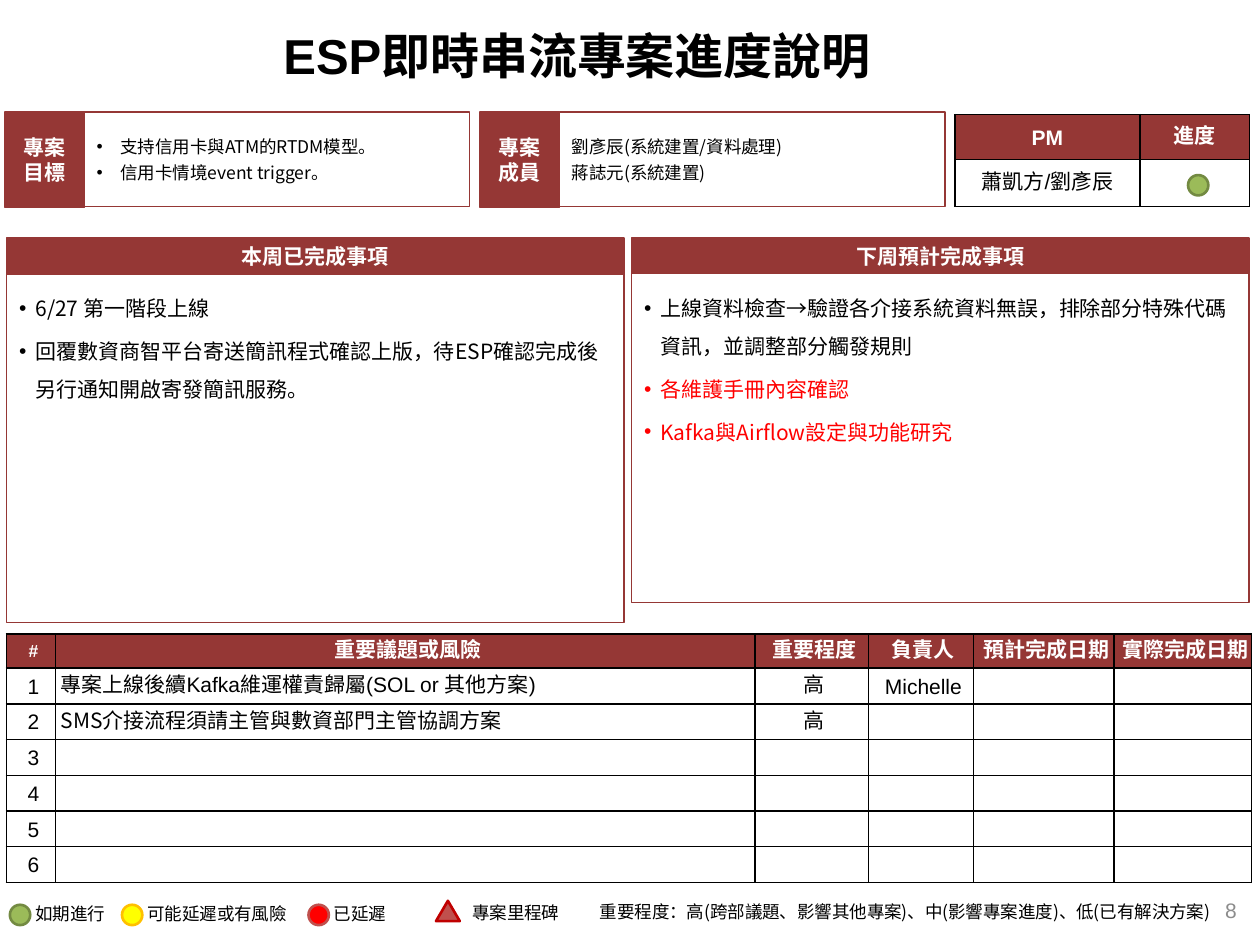
import dataclasses
from typing import Sequence

import pptx
import pptx.dml.color
import pptx.enum.shapes
import pptx.enum.text
import pptx.oxml.ns
import pptx.oxml.xmlchemy
import pptx.util
from lxml import etree

Cm, Pt = pptx.util.Cm, pptx.util.Pt
ALIGN, ANCHOR = pptx.enum.text.PP_ALIGN, pptx.enum.text.MSO_ANCHOR
SHAPE = pptx.enum.shapes.MSO_SHAPE
qn = pptx.oxml.ns.qn

MAROON, BLACK, WHITE, RED = "953735", "000000", "FFFFFF", "FF0000"
CJK = "Noto Sans CJK SC"


@dataclasses.dataclass(frozen=True)
class Style:
    size: float
    color: str = BLACK
    bold: bool = False
    latin: str = "Arial"
    align: ALIGN = ALIGN.LEFT
    bullet_indent: float = 0
    after: float = 0
    leading: float = 1.2


@dataclasses.dataclass(frozen=True)
class Summary:
    left: float
    label: tuple[str, str]
    lines: tuple[str, ...]
    style: Style


@dataclasses.dataclass(frozen=True)
class Panel:
    left: float
    header_height: float
    body_height: float
    header: str
    items: tuple[str, ...]
    highlighted: tuple[str, ...] = ()


@dataclasses.dataclass(frozen=True)
class Status:
    left: float
    text: str
    text_width: float
    fill: str
    line: str


HEADING = Style(12, WHITE, True, align=ALIGN.CENTER)
CELL = Style(12, align=ALIGN.CENTER)
NOTE = Style(10, latin=CJK)
MEMBERS = dataclasses.replace(NOTE, after=2.8)
GOALS = dataclasses.replace(MEMBERS, bullet_indent=0.48)
TASKS = Style(12, latin=CJK, bullet_indent=0.33, after=2.8, leading=1.8)

SUMMARIES = (
    Summary(0.1, ("專案", "目標"),
            ("支持信用卡與ATM的RTDM模型。", "信用卡情境event trigger。"), GOALS),
    Summary(9.68, ("專案", "成員"),
            ("劉彥辰(系統建置/資料處理)", "蔣誌元(系統建置)"), MEMBERS),
)
PANELS = (
    Panel(0.13, 0.74, 7.04, "本周已完成事項",
          ("6/27 第一階段上線",
           "回覆數資商智平台寄送簡訊程式確認上版，待ESP確認完成後另行通知開啟寄發簡訊服務。")),
    Panel(12.73, 0.71, 6.63, "下周預計完成事項",
          ("上線資料檢查→驗證各介接系統資料無誤，排除部分特殊代碼資訊，並調整部分觸發規則",),
          ("各維護手冊內容確認", "Kafka與Airflow設定與功能研究")),
)
ON_TRACK = Status(0.2, "如期進行", 1.93, "9BBB59", "738A42")
STATUSES = (
    ON_TRACK,
    Status(2.46, "可能延遲或有風險", 3.35, "FFFF00", "FFC000"),
    Status(6.22, "已延遲", 1.57, RED, "C0504D"),
)
ISSUES = [
    ["#", "重要議題或風險", "重要程度", "負責人", "預計完成日期", "實際完成日期"],
    ["1", "專案上線後續Kafka維運權責歸屬(SOL or 其他方案)", "高", "Michelle", "", ""],
    ["2", "SMS介接流程須請主管與數資部門主管協調方案", "高", "", "", ""],
    *([str(number), "", "", "", "", ""] for number in range(3, 7)),
]


def rgb(value: str) -> pptx.dml.color.RGBColor:
    return pptx.dml.color.RGBColor.from_string(value)


def write(frame, lines: Sequence[str], style: Style, highlighted: Sequence[str] = ()) -> None:
    """Fill a text frame, with the highlighted lines last and in red."""
    for index, text in enumerate((*lines, *highlighted)):
        paragraph = frame.paragraphs[0] if index == 0 else frame.add_paragraph()
        properties = paragraph._p.get_or_add_pPr()
        if style.bullet_indent:
            indent = Cm(style.bullet_indent)
            properties.set("marL", str(indent))
            properties.set("indent", str(-indent))
            etree.SubElement(properties, qn("a:buFont")).set("typeface", "Arial")
            etree.SubElement(properties, qn("a:buChar")).set("char", "•")
        paragraph.alignment = style.align
        paragraph.line_spacing = Pt(style.size * style.leading)
        paragraph.space_before = Pt(0)
        paragraph.space_after = Pt(style.after)
        font = paragraph.font
        font.size, font.bold, font.name = Pt(style.size), style.bold, style.latin
        font.color.rgb = rgb(RED if index >= len(lines) else style.color)
        etree.SubElement(properties.find(qn("a:defRPr")), qn("a:ea")).set("typeface", CJK)
        if text:
            paragraph.add_run().text = text
        else:
            end = etree.SubElement(paragraph._p, qn("a:endParaRPr"))
            end.set("sz", str(style.size * 100))


def add_box(slide, kind, left, top, width, height, fill=None, line=MAROON, weight=0.75):
    box = slide.shapes.add_shape(kind, Cm(left), Cm(top), Cm(width), Cm(height))
    box.shadow.inherit = False
    if fill:
        box.fill.solid()
        box.fill.fore_color.rgb = rgb(fill)
    else:
        box.fill.background()
    box.line.color.rgb = rgb(line)
    box.line.width = Pt(weight)
    box.text_frame.vertical_anchor = ANCHOR.MIDDLE
    return box


def add_text(slide, left, top, width, height, text: str, style: Style, wrap=True):
    frame = slide.shapes.add_textbox(Cm(left), Cm(top), Cm(width), Cm(height)).text_frame
    frame.word_wrap = wrap
    write(frame, [text], style)
    return frame


def add_dot(slide, status: Status, left: float, top: float) -> None:
    add_box(slide, SHAPE.OVAL, left, top, 0.41, 0.41, status.fill, status.line, 1.5)


def add_summary(slide, summary: Summary) -> None:
    label = add_box(slide, SHAPE.RECTANGLE, summary.left, 2.26, 1.6, 1.93, MAROON)
    write(label.text_frame, summary.label, HEADING)
    details = add_box(slide, SHAPE.RECTANGLE, summary.left + 1.6, 2.26, 7.77, 1.9)
    write(details.text_frame, summary.lines, summary.style)


def add_panel(slide, panel: Panel, body) -> None:
    header = add_box(slide, SHAPE.RECTANGLE, panel.left, 4.8, 12.45, panel.header_height, MAROON)
    write(header.text_frame, [panel.header], HEADING)
    body.left, body.top = Cm(panel.left), Cm(5.51)
    body.width, body.height = Cm(12.45), Cm(panel.body_height)
    body.line.color.rgb = rgb(MAROON)
    body.line.width = Pt(0.75)
    frame = body.text_frame
    frame.auto_size = pptx.enum.text.MSO_AUTO_SIZE.NONE
    frame.margin_top = frame.margin_bottom = Cm(0.2)
    write(frame, panel.items, TASKS, panel.highlighted)


def add_borders(cell) -> None:
    for side in ("a:lnL", "a:lnR", "a:lnT", "a:lnB"):
        line = etree.SubElement(cell._tc.get_or_add_tcPr(), qn(side), w=str(Pt(1)))
        fill = etree.SubElement(line, qn("a:solidFill"))
        etree.SubElement(fill, qn("a:srgbClr"), val=BLACK)


def add_grid(slide, left, top, widths, heights, rows, left_aligned=None, tight=False):
    """Add a bordered table with a maroon header row."""
    table = slide.shapes.add_table(len(rows), len(widths), Cm(left), Cm(top),
                                   Cm(sum(widths)), Cm(sum(heights))).table
    table.horz_banding = False
    for column, width in zip(table.columns, widths):
        column.width = Cm(width)
    for r, (row, height) in enumerate(zip(rows, heights)):
        table.rows[r].height = Cm(height)
        for c, text in enumerate(row):
            cell = table.cell(r, c)
            add_borders(cell)
            cell.fill.solid()
            cell.fill.fore_color.rgb = rgb(WHITE if r else MAROON)
            cell.vertical_anchor = ANCHOR.MIDDLE
            if tight:
                cell.margin_left = Cm(0.1)
                cell.margin_right = cell.margin_top = cell.margin_bottom = 0
            style = CELL if r else HEADING
            if r and c == left_aligned:
                latin = CJK if text.startswith("SMS") else "Arial"
                style = dataclasses.replace(CELL, align=ALIGN.LEFT, latin=latin)
            if text == "#":
                style = dataclasses.replace(HEADING, size=10)
            write(cell.text_frame, [text], style)


def main() -> None:
    deck = pptx.Presentation()
    deck.slide_width, deck.slide_height = Cm(25.4), Cm(19.05)
    slide = deck.slides.add_slide(deck.slide_layouts.get_by_name("Two Content"))
    title = slide.shapes.title
    title.left, title.top, title.width, title.height = Cm(5.46), Cm(0.23), Cm(19.35), Cm(1.75)
    title.text_frame.vertical_anchor = ANCHOR.MIDDLE
    write(title.text_frame, ["ESP即時串流專案進度說明"], Style(28, bold=True))

    for summary in SUMMARIES:
        add_summary(slide, summary)
    add_grid(slide, 19.25, 2.31, [3.73, 2.21], [0.91, 0.94],
             [["PM", "進度"], ["蕭凱方/劉彥辰", ""]])
    add_dot(slide, ON_TRACK, 23.95, 3.53)
    for index, panel in enumerate(PANELS, start=1):
        add_panel(slide, panel, slide.placeholders[index])
    add_grid(slide, 0.13, 12.78, [0.99, 14.1, 2.29, 2.11, 2.84, 2.77],
             [0.69] + [0.72] * 6, ISSUES, left_aligned=1, tight=True)

    for status in STATUSES:
        add_dot(slide, status, status.left, 18.24)
        add_text(slide, status.left + 0.26, 18.08, status.text_width, 0.69,
                 status.text, Style(10), wrap=False)
    add_box(slide, SHAPE.ISOSCELES_TRIANGLE, 8.79, 18.16, 0.48, 0.41, "C0504D", "C00000", 1.5)
    add_text(slide, 9.27, 18.06, 2.57, 0.69, "專案里程碑", NOTE)
    levels = add_text(slide, 11.84, 17.91, 13, 0.94,
                      "重要程度：高(跨部議題、影響其他專案)、中(影響專案進度)、低(已有解決方案)", NOTE)
    levels.margin_top = levels.margin_bottom = Cm(0.25)
    page = add_text(slide, 19.46, 17.83, 5.72, 1.02, "8",
                    Style(12, "8C8C8C", align=ALIGN.RIGHT))
    page.vertical_anchor = ANCHOR.MIDDLE
    deck.save("out.pptx")


if __name__ == "__main__":
    main()
